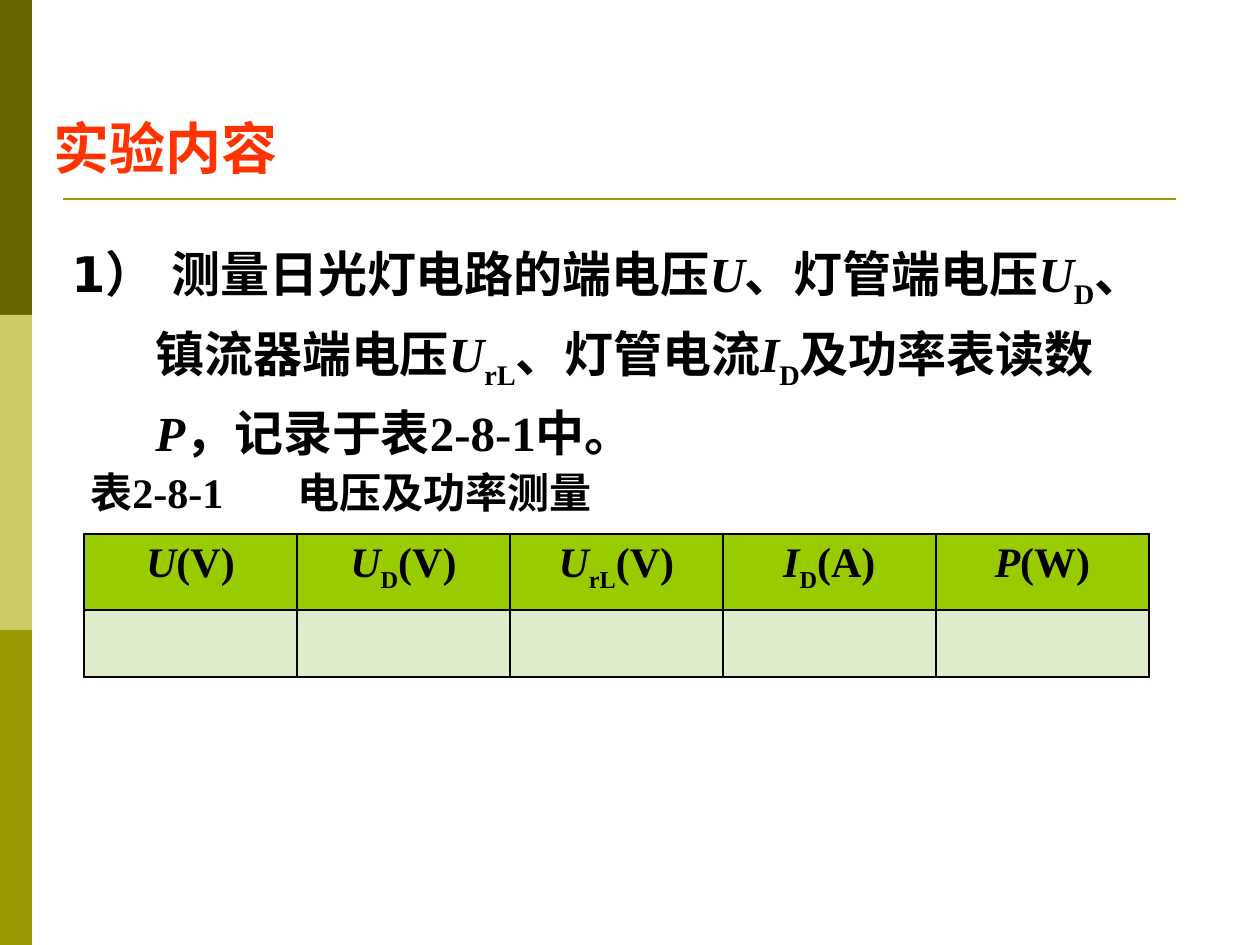
from lxml.etree import SubElement
from pptx import Presentation
from pptx.dml.color import RGBColor
from pptx.enum.shapes import MSO_CONNECTOR, MSO_SHAPE
from pptx.enum.text import MSO_ANCHOR, MSO_AUTO_SIZE, PP_ALIGN
from pptx.oxml.ns import qn
from pptx.util import Emu, Pt

PX = 914400 / 126  # EMU in one px
COLORS = {
    "dark": "666600", "pale": "CCCC66", "olive": "999900", "title": "FF3300",
    "ink": "000000", "header": "99CC00", "cell": "DEECCC",
}
HAN, ROMAN = "DejaVu Sans", "Times New Roman"
# Run styles: font, italic, subscript
STYLES = {
    "han": (HAN, False, False), "roman": (ROMAN, False, False),
    "var": (ROMAN, True, False), "sub": (ROMAN, False, True),
}

TITLE = [("实验内容", "han")]
TASK = [
    ("1） 测量日光灯电路的端电压", "han"), ("U", "var"),
    ("、灯管端电压", "han"), ("U", "var"), ("D", "sub"),
    ("、镇流器端电压", "han"), ("U", "var"), ("rL", "sub"),
    ("、灯管电流", "han"), ("I", "var"), ("D", "sub"),
    ("及功率表读数", "han"), ("P", "var"),
    ("，记录于表", "han"), ("2-8-1", "roman"), ("中。", "han"),
]
CAPTION = [("表", "han"), ("2-8-1\t电压及功率测量", "roman")]
QUANTITIES = [("U", "", "(V)"), ("U", "D", "(V)"), ("U", "rL", "(V)"),
              ("I", "D", "(A)"), ("P", "", "(W)")]


def px(*lengths):
    return [Emu(round(length * PX)) for length in lengths]


def rgb(name):
    return RGBColor.from_string(COLORS[name])


def write(frame, runs, size, color="ink", align=PP_ALIGN.LEFT, spacing=1.0,
          hanging=0, tab=0):
    """Fill the first paragraph of a text frame with styled bold runs."""
    frame.word_wrap = True
    paragraph = frame.paragraphs[0]
    paragraph.alignment = align
    paragraph.line_spacing = spacing
    paragraph.space_before = Pt(0)
    properties = paragraph._p.get_or_add_pPr()
    if hanging:
        indent = px(hanging)[0]
        properties.set("marL", str(indent))
        properties.set("indent", str(-indent))
    if tab:
        stops = SubElement(properties, qn("a:tabLst"))
        SubElement(stops, qn("a:tab"), pos=str(px(tab)[0]), algn="l")
    for text, style in runs:
        typeface, italic, subscript = STYLES[style]
        run = paragraph.add_run()
        run.text = text
        font = run.font
        font.name, font.size, font.bold, font.italic = typeface, Pt(size), True, italic
        font.color.rgb = rgb(color)
        run_properties = run._r.get_or_add_rPr()
        SubElement(run_properties, qn("a:ea"), typeface=HAN)
        if subscript:
            run_properties.set("baseline", "-25000")


def add_block(slide, top, color):
    block = slide.shapes.add_shape(MSO_SHAPE.RECTANGLE, *px(0, top, 32, 315))
    block.shadow.inherit = False
    block.fill.solid()
    block.fill.fore_color.rgb = rgb(color)
    block.line.fill.background()


def add_rule(slide, left, right, y):
    rule = slide.shapes.add_connector(MSO_CONNECTOR.STRAIGHT, *px(left, y, right, y))
    rule.line.color.rgb = rgb("olive")
    rule.line.width = Pt(1.5)
    SubElement(rule._element.spPr, qn("a:effectLst"))


def add_text(slide, box, runs, size, **layout):
    write(slide.shapes.add_textbox(*px(*box)).text_frame, runs, size, **layout)


def set_title(slide, box, runs, size, color):
    title = slide.shapes.title
    title.left, title.top, title.width, title.height = px(*box)
    title.text_frame.auto_size = MSO_AUTO_SIZE.NONE
    title.text_frame.vertical_anchor = MSO_ANCHOR.TOP
    write(title.text_frame, runs, size, color)


def style_cell(cell, color):
    properties = cell._tc.get_or_add_tcPr()
    for side in ("lnL", "lnR", "lnT", "lnB"):
        border = SubElement(properties, qn(f"a:{side}"), w=str(Pt(1)))
        fill = SubElement(border, qn("a:solidFill"))
        SubElement(fill, qn("a:srgbClr"), val=COLORS["ink"])
    cell.fill.solid()
    cell.fill.fore_color.rgb = rgb(color)


def add_readings_table(slide, left, top, column_width, row_heights):
    columns = len(QUANTITIES)
    table = slide.shapes.add_table(
        len(row_heights), columns,
        *px(left, top, column_width * columns, sum(row_heights))).table
    table.horz_banding = False
    for column in table.columns:
        column.width = px(column_width)[0]
    for row, height, color in zip(table.rows, row_heights, ("header", "cell")):
        row.height = px(height)[0]
        for cell in row.cells:
            style_cell(cell, color)
    for cell, (symbol, index, unit) in zip(table.rows[0].cells, QUANTITIES):
        runs = [(symbol, "var"), (index, "sub"), (unit, "roman")]
        write(cell.text_frame, [run for run in runs if run[0]], 24,
              align=PP_ALIGN.CENTER)


def main():
    deck = Presentation()
    deck.slide_width, deck.slide_height = px(1260, 945)
    slide = deck.slides.add_slide(deck.slide_layouts[5])

    # Side band and rule under the title
    for position, color in enumerate(("dark", "pale", "olive")):
        add_block(slide, 315 * position, color)
    add_rule(slide, 63, 1176, 199)

    # Title and task
    set_title(slide, (41, 107, 1113, 83), TITLE, 32, "title")
    add_text(slide, (59, 224, 1113, 240), TASK, 28, spacing=1.2, hanging=84)

    # Table with its caption
    add_text(slide, (78, 460, 1113, 74), CAPTION, 24, tab=207)
    add_readings_table(slide, 84, 534, 213, (76, 67))

    deck.save("out.pptx")


if __name__ == "__main__":
    main()
